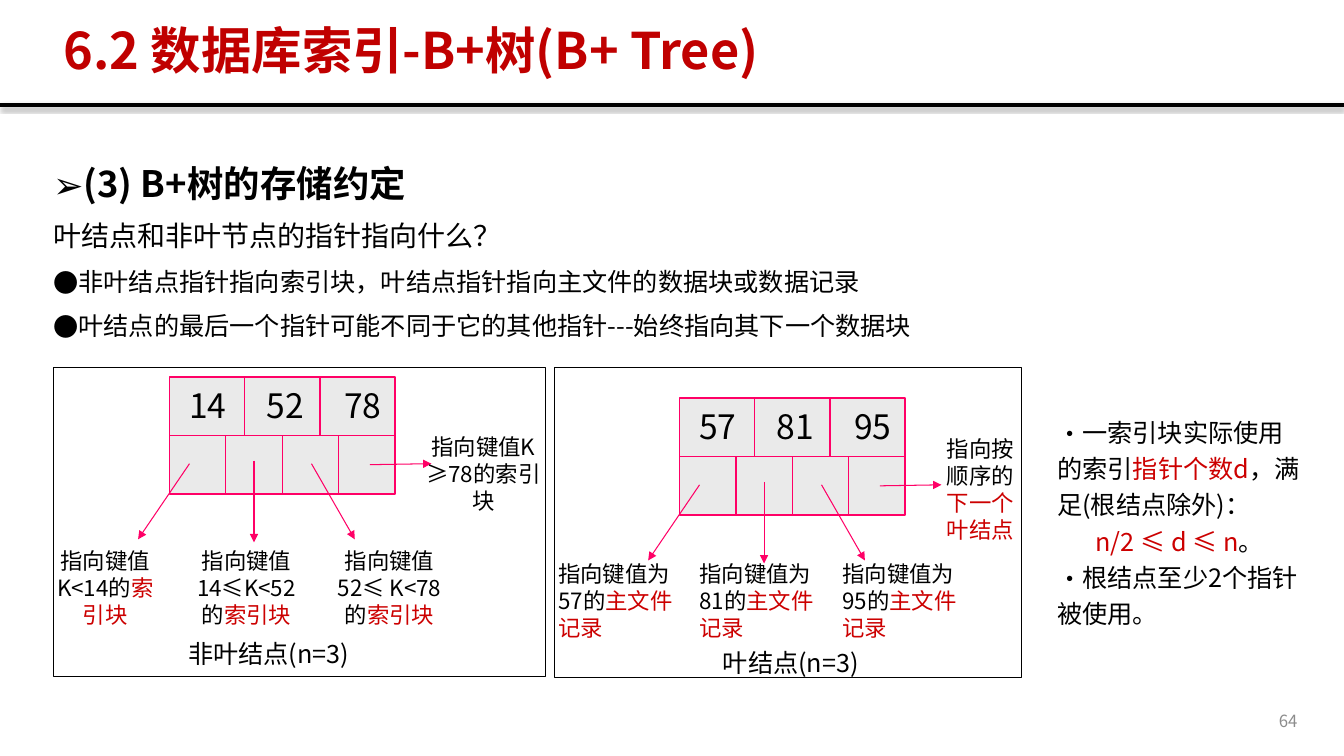
from dataclasses import dataclass

from pptx import Presentation
from pptx.dml.color import RGBColor
from pptx.enum.shapes import MSO_CONNECTOR as Connector, MSO_SHAPE as Preset
from pptx.enum.text import MSO_ANCHOR as Anchor, PP_ALIGN as Align
from pptx.oxml import parse_xml
from pptx.oxml.ns import nsdecls, qn
from pptx.util import Inches, Pt

COLUMNS, ROWS = 133.33, 75
CELL = Inches(0.1)


@dataclass(frozen=True)
class Theme:
    font: str = "Noto Sans CJK SC"
    ink: str = "000000"
    paper: str = "FFFFFF"
    title: str = "C00000"
    accent: str = "CC0000"
    cell: str = "EAEAEA"
    pointer: str = "FF0066"
    muted: str = "8C8C8C"
    title_size: int = 36
    heading_size: int = 26
    key_size: int = 24
    lead_size: int = 20
    body_size: int = 18
    label_size: int = 16
    number_size: int = 12


THEME = Theme()


@dataclass(frozen=True)
class Box:
    left: float
    top: float
    width: float
    height: float

    def emu(self):
        return [grid(n) for n in (self.left, self.top, self.width, self.height)]


def grid(cells):
    return round(cells * CELL)


def rgb(colour):
    return RGBColor.from_string(colour)


def set_bullet(paragraph, mark, hanging):
    props = paragraph._p.get_or_add_pPr()
    props.set("marL", str(grid(hanging)))
    props.set("indent", str(-grid(hanging)))
    props.append(parse_xml(f'<a:buFont {nsdecls("a")} typeface="{THEME.font}"/>'))
    props.append(parse_xml(f'<a:buChar {nsdecls("a")} char="{mark}"/>'))


def write(paragraph, text, size=THEME.body_size, colour=THEME.ink, bold=False,
          align=Align.LEFT, spacing=1.0, before=0, bullet=None, hanging=0):
    """Fill a paragraph; the parts of text between bars take the accent colour."""
    paragraph.alignment = align
    paragraph.line_spacing = spacing
    paragraph.space_before = Pt(before)
    if bullet:
        set_bullet(paragraph, bullet, hanging)
    for index, part in enumerate(text.split("|")):
        if not part:
            continue
        run = paragraph.add_run()
        run.text = part
        font = run.font
        font.size, font.bold, font.name = Pt(size), bold, THEME.font
        font.color.rgb = rgb(THEME.accent if index % 2 else colour)
        east_asian = parse_xml(f'<a:ea {nsdecls("a")} typeface="{THEME.font}"/>')
        run._r.get_or_add_rPr().find(qn("a:latin")).addnext(east_asian)


def add_text(shapes, box, *paragraphs, wrap=True, anchor=Anchor.TOP, **style):
    """Each paragraph is a string, or a pair of string and its own format."""
    frame = shapes.add_textbox(*box.emu()).text_frame
    frame.word_wrap = wrap
    frame.vertical_anchor = anchor
    for index, entry in enumerate(paragraphs):
        text, own = (entry, {}) if isinstance(entry, str) else entry
        paragraph = frame.add_paragraph() if index else frame.paragraphs[0]
        write(paragraph, text, **{**style, **own})


def add_rect(shapes, box, fill, line, width):
    rect = shapes.add_shape(Preset.RECTANGLE, *box.emu())
    rect.shadow.inherit = False
    rect.fill.solid()
    rect.fill.fore_color.rgb = rgb(fill)
    rect.line.color.rgb = rgb(line)
    rect.line.width = Pt(width)


def add_line(shapes, start, end, colour, width, arrow=False, shadow=""):
    line = shapes.add_connector(Connector.STRAIGHT, *map(grid, (*start, *end)))
    line.line.color.rgb = rgb(colour)
    line.line.width = Pt(width)
    if arrow:
        line.line._get_or_add_ln().append(
            parse_xml(f'<a:tailEnd {nsdecls("a")} type="triangle"/>'))
    line._element.spPr.append(
        parse_xml(f'<a:effectLst {nsdecls("a")}>{shadow}</a:effectLst>'))


def add_header(slide, box):
    shadow = (f'<a:outerShdw blurRad="{Pt(3.1)}" dist="{Pt(1.8)}" dir="5400000">'
              f'<a:srgbClr val="{THEME.ink}"><a:alpha val="35000"/></a:srgbClr>'
              '</a:outerShdw>')
    bottom = box.top + box.height
    add_line(slide.shapes, (box.left, bottom), (box.left + box.width, bottom),
             THEME.ink, 3, shadow=shadow)
    title = slide.shapes.title
    place = Box(box.left + 5.3, box.top + 2, 117, 6.5)
    title.left, title.top, title.width, title.height = place.emu()
    title.text_frame.vertical_anchor = Anchor.MIDDLE
    write(title.text_frame.paragraphs[0], "6.2 数据库索引-B+树(B+ Tree)",
          size=THEME.title_size, colour=THEME.title, bold=True, spacing=0.9)


def add_outline(slide, box):
    point = dict(bullet="●", hanging=2.5)
    add_text(
        slide.shapes, box,
        ("(3) B+树的存储约定", dict(size=THEME.heading_size, bold=True, spacing=1.5,
                              before=0, bullet="➢", hanging=2.5)),
        ("叶结点和非叶节点的指针指向什么？", dict(size=THEME.lead_size)),
        ("非叶结点指针指向索引块，叶结点指针指向主文件的数据块或数据记录", point),
        ("叶结点的最后一个指针可能不同于它的其他指针---始终指向其下一个数据块", point),
        before=10)


def add_node(slide, box, keys):
    """Draw an index block: a row of three keys over a row of four pointers."""
    node = slide.shapes.add_group_shape().shapes
    add_rect(node, box, THEME.cell, THEME.pointer, 1)
    middle, right, bottom = (box.top + box.height / 2, box.left + box.width,
                             box.top + box.height)
    add_line(node, (box.left, middle), (right, middle), THEME.pointer, 1)
    for parts, top, end in ((3, box.top, middle), (4, middle, bottom)):
        for step in range(1, parts):
            x = box.left + box.width * step / parts
            add_line(node, (x, top), (x, end), THEME.pointer, 1)
    for index, key in enumerate(keys):
        add_text(node, Box(box.left + 0.75 + 7.7 * index, box.top + 0.25, 6.1, 5),
                 key, size=THEME.key_size, align=Align.CENTER, wrap=False)


def add_panel(slide, box, node_at, keys, targets, following, caption,
              label_top, following_box, caption_box, align):
    """Frame a node with its pointers; inner places are relative to the node."""
    add_rect(slide.shapes, box, THEME.paper, THEME.ink, 0.75)
    left, top = box.left + node_at[0], box.top + node_at[1]

    def inside(x, y, width, height):
        return Box(left + x, top + y, width, height)

    add_node(slide, inside(0, 0, 22.4, 11.6), keys)
    pointers = (((2, 8.6), (-3.1, 16.1)), ((8.4, 8.3), (8.4, 16.4)),
                ((14.1, 8.6), (18.4, 16.1)), ((19.9, 8.7), (26, 8.6)))
    for start, end in pointers:
        add_line(slide.shapes, (left + start[0], top + start[1]),
                 (left + end[0], top + end[1]), THEME.pointer, 0.75, arrow=True)
    for x, target in zip((-13, 1, 15.2), targets):
        add_text(slide.shapes, inside(x, label_top, 13.3, 9), *target,
                 size=THEME.label_size, align=align)
    add_text(slide.shapes, inside(*following_box), following,
             size=THEME.label_size, align=Align.CENTER)
    add_text(slide.shapes, inside(*caption_box), caption,
             align=Align.CENTER, wrap=False)


def add_rules(slide, box):
    add_text(slide.shapes, box,
             ("一索引块实际使用的索引|指针个数d|，满足(根结点除外)：", dict(bullet="•")),
             ("|n/2 ≤ d ≤ n|。", dict(align=Align.CENTER)),
             ("根结点至少2个指针被使用。", dict(bullet="•")),
             spacing=1.2)


def build_slide(deck):
    slide = deck.slides.add_slide(deck.slide_layouts.get_by_name("Title Only"))
    add_header(slide, Box(0, 0, COLUMNS, 10.4))
    add_outline(slide, Box(4.3, 13.3, 125.4, 55.4))
    add_panel(slide, Box(5.3, 36.5, 48.8, 30.6), (11.5, 0.9), ("14", "52", "78"),
              (("指向键值K<14的|索引块",), ("指向键值", "14≤K<52的|索引块"),
               ("指向键值52≤ K<78的|索引块",)),
              "指向键值K ≥78的索引块", "非叶结点(n=3)", label_top=16.4,
              following_box=(24.5, 5.1, 13.3, 9), caption_box=(-0.6, 25.4, 20.9, 4.3),
              align=Align.CENTER)
    add_panel(slide, Box(55, 36.5, 46.3, 30.7), (12.4, 3), ("57", "81", "95"),
              [(f"指向键值为{key}的|主文件记录",) for key in (57, 81, 95)],
              "指向按顺序的|下一个叶结点", "叶结点(n=3)", label_top=15.6,
              following_box=(24.5, 3.2, 10.7, 11.7), caption_box=(2, 24.2, 18.1, 4.3),
              align=Align.LEFT)
    add_rules(slide, Box(103.9, 40.3, 26.3, 22.5))
    add_text(slide.shapes, Box(99.7, 69.5, 30, 4), "64", size=THEME.number_size,
             colour=THEME.muted, align=Align.RIGHT, anchor=Anchor.MIDDLE)


def main():
    deck = Presentation()
    deck.slide_width, deck.slide_height = grid(COLUMNS), grid(ROWS)
    build_slide(deck)
    deck.save("out.pptx")


if __name__ == "__main__":
    main()
